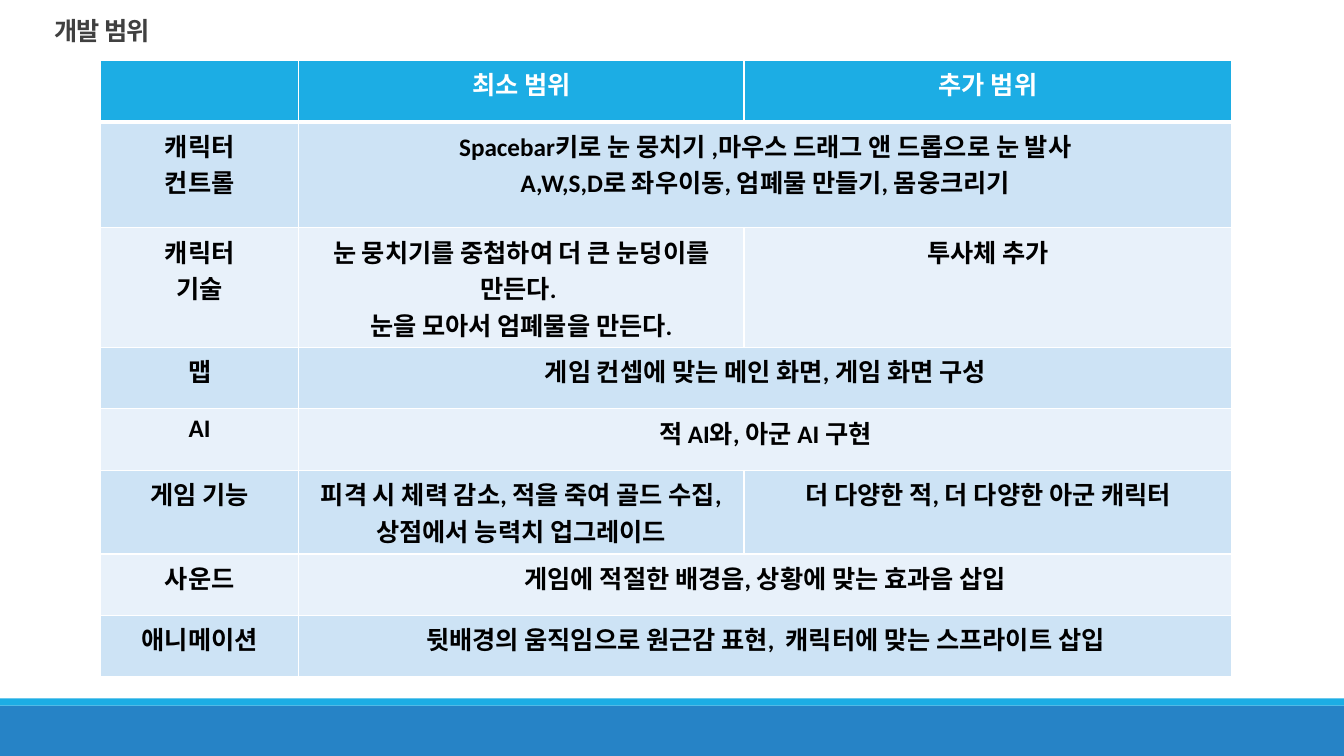
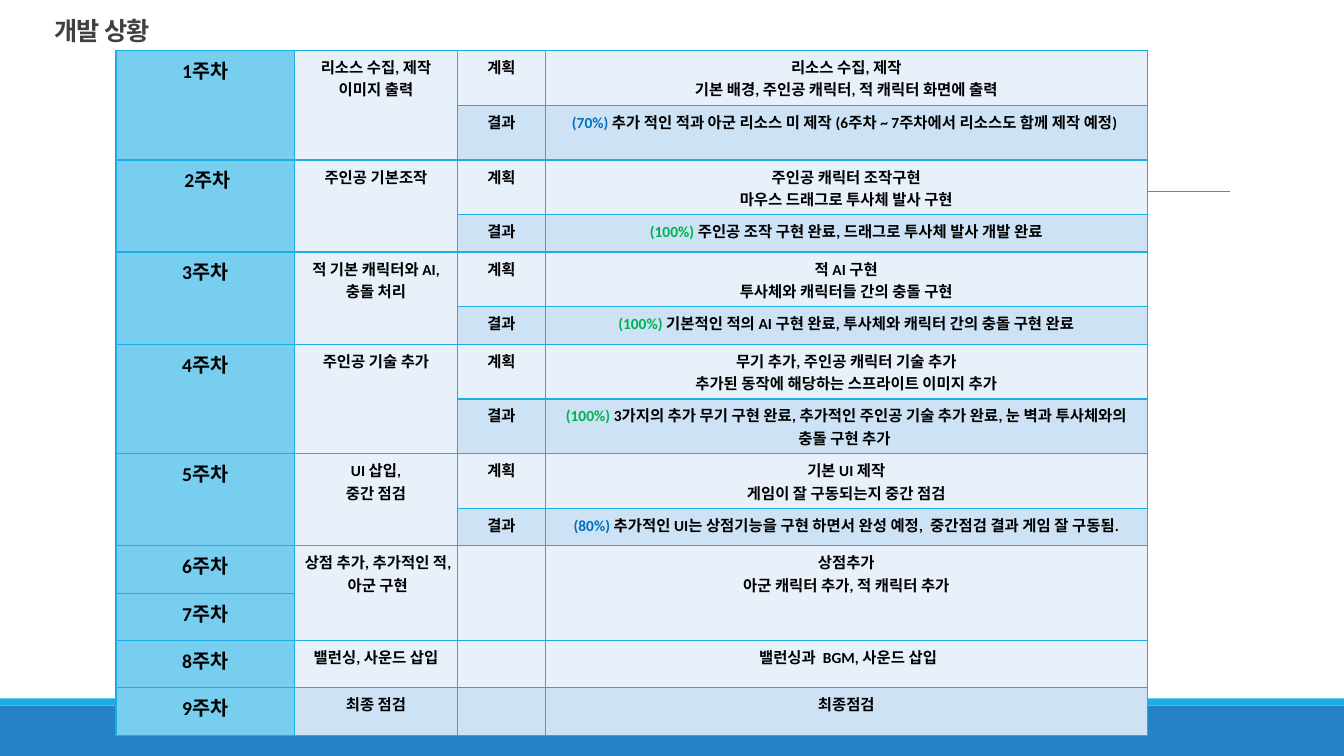
from dataclasses import dataclass
from enum import Enum

from lxml.etree import SubElement
from pptx import Presentation
from pptx.dml.color import RGBColor
from pptx.enum.shapes import MSO_CONNECTOR, MSO_SHAPE
from pptx.enum.text import MSO_ANCHOR, MSO_AUTO_SIZE, PP_ALIGN
from pptx.oxml.ns import qn
from pptx.util import Inches, Pt

FONT = "Calibri"
WHITE, BLACK, GRAY, RULE = "FFFFFF", "000000", "404040", "808080"
BLUE, CYAN, SKY = "2683C6", "1CADE4", "77CEEF"
BAND, PALE = "CDE3F5", "E8F1FA"
PARTIAL, DONE = "0070C0", "00B050"


class Join(Enum):
    LEFT = "left"
    UP = "up"


@dataclass
class Entry:
    text: str
    fill: str
    size: int
    color: str = BLACK
    status: str = ""


@dataclass
class Week:
    topic: str
    plan: str
    status: str
    result: str


@dataclass
class Grid:
    left: float
    top: float
    columns: list[float]
    heights: list[float]
    rows: list[list[Entry | Join]]
    border: str
    header: bool = False


@dataclass
class Strip:
    top: float
    height: float
    color: str


def rgb(value: str) -> RGBColor:
    return RGBColor.from_string(value)


def style_run(span, size: int, color: str) -> None:
    span.font.name = FONT
    span.font.size = Pt(size)
    span.font.bold = True
    span.font.color.rgb = rgb(color)


def build_layout(deck):
    layout = deck.slide_layouts.get_by_name("Title Only")
    for holder in list(layout.placeholders):
        if holder.placeholder_format.idx:
            layout.shapes.element.remove(holder.element)
        else:
            holder.left, holder.top = Inches(0.44), Inches(0.13)
            holder.width, holder.height = Inches(8.62), Inches(0.37)
    return layout


def decorate_layout(layout, page) -> None:
    for strip in (Strip(7, 0.5, BLUE), Strip(6.93, 0.07, CYAN)):
        box = page.shapes.add_shape(
            MSO_SHAPE.RECTANGLE, 0, Inches(strip.top), Inches(13.33), Inches(strip.height)
        )
        box.shadow.inherit = False
        box.fill.solid()
        box.fill.fore_color.rgb = rgb(strip.color)
        box.line.fill.background()
        layout.shapes.element.append(box.element)
    rule = page.shapes.add_connector(
        MSO_CONNECTOR.STRAIGHT, Inches(1.3), Inches(1.9), Inches(12.2), Inches(1.9)
    )
    rule.line.color.rgb = rgb(RULE)
    rule.line.width = Pt(0.5)
    SubElement(rule.element.spPr, qn("a:effectLst"))
    layout.shapes.element.append(rule.element)


def add_title(page, text: str) -> None:
    title = page.shapes.title
    frame = title.text_frame
    frame.text = text
    frame.auto_size = MSO_AUTO_SIZE.NONE
    frame.vertical_anchor = MSO_ANCHOR.BOTTOM
    para = frame.paragraphs[0]
    para.alignment = PP_ALIGN.LEFT
    para.line_spacing = 0.85
    style_run(para.runs[0], 18, GRAY)
    for properties in title.element.iter(qn("a:rPr")):
        properties.set("spc", "-50")


def draw_borders(element, grid: Grid) -> None:
    for index, cell in enumerate(element.iter(qn("a:tc"))):
        row = index // len(grid.columns)
        for side in "LRTB":
            thick = grid.header and (row, side) in ((0, "B"), (1, "T"))
            line = SubElement(cell.get_or_add_tcPr(), qn(f"a:ln{side}"), w=str(Pt(3 if thick else 1)))
            SubElement(SubElement(line, qn("a:solidFill")), qn("a:srgbClr"), val=grid.border)


def write_entry(cell, entry: Entry) -> None:
    frame = cell.text_frame
    frame.text = entry.status or entry.text
    if entry.status:
        frame.paragraphs[0].add_run().text = entry.text
    for para in frame.paragraphs:
        para.alignment = PP_ALIGN.CENTER
        for span in para.runs:
            style_run(span, entry.size, entry.color)
    if entry.status:
        accent = DONE if "100%" in entry.status else PARTIAL
        frame.paragraphs[0].runs[0].font.color.rgb = rgb(accent)


def add_grid(page, grid: Grid) -> None:
    holder = page.shapes.add_table(
        len(grid.rows), len(grid.columns), Inches(grid.left), Inches(grid.top),
        Inches(sum(grid.columns)), Inches(sum(grid.heights))
    )
    table = holder.table
    table.first_row = grid.header
    table.horz_banding = False
    for column, width in zip(table.columns, grid.columns):
        column.width = Inches(width)
    for row, height in zip(table.rows, grid.heights):
        row.height = Inches(height)
    draw_borders(holder.element, grid)
    for y, entries in enumerate(grid.rows):
        for x, entry in enumerate(entries):
            cell = table.cell(y, x)
            source = entry
            if isinstance(entry, Join):
                above, before = (y - 1, x) if entry is Join.UP else (y, x - 1)
                table.cell(above, before).merge(cell)
                source = grid.rows[above][before]
            else:
                write_entry(cell, entry)
            cell.fill.solid()
            cell.fill.fore_color.rgb = rgb(source.fill)
    for para in holder.element.iter(qn("a:p")):
        if para.find(qn("a:r")) is None:
            SubElement(para, qn("a:endParaRPr"), sz="1100")


def scope_rows() -> list[list[Entry | Join]]:
    scopes = [
        ("캐릭터\n컨트롤", "Spacebar키로 눈 뭉치기 ,마우스 드래그 앤 드롭으로 눈 발사\n"
         "A,W,S,D로 좌우이동, 엄폐물 만들기, 몸웅크리기", ""),
        ("캐릭터\n기술", "눈 뭉치기를 중첩하여 더 큰 눈덩이를 만든다. \n눈을 모아서 엄폐물을 만든다.", "투사체 추가"),
        ("맵", "게임 컨셉에 맞는 메인 화면, 게임 화면 구성", ""),
        ("AI", "적 AI와, 아군 AI 구현", ""),
        ("게임 기능", "피격 시 체력 감소, 적을 죽여 골드 수집, 상점에서 능력치 업그레이드",
         "더 다양한 적, 더 다양한 아군 캐릭터"),
        ("사운드", "게임에 적절한 배경음, 상황에 맞는 효과음 삽입", ""),
        ("애니메이션", "뒷배경의 움직임으로 원근감 표현,  캐릭터에 맞는 스프라이트 삽입", ""),
    ]
    rows = [[Entry(text, CYAN, 18, WHITE) for text in ("", "최소 범위", "추가 범위")]]
    for index, (name, minimum, extra) in enumerate(scopes):
        fill = PALE if index % 2 else BAND
        last = Entry(extra, fill, 18) if extra else Join.LEFT
        rows.append([Entry(name, fill, 18), Entry(minimum, fill, 18), last])
    return rows


def week_label(text: str) -> Entry:
    return Entry(text, SKY, 14)


def progress_rows() -> list[list[Entry | Join]]:
    weeks = [
        Week("리소스 수집, 제작\n이미지 출력", "리소스 수집, 제작\n기본 배경, 주인공 캐릭터, 적 캐릭터 화면에 출력",
             "(70%) ", "추가 적인 적과 아군 리소스 미 제작 (6주차 ~ 7주차에서 리소스도 함께 제작 예정) "),
        Week("주인공 기본조작", "주인공 캐릭터 조작구현\n마우스 드래그로 투사체 발사 구현",
             "(100%) ", "주인공 조작 구현 완료, 드래그로 투사체 발사 개발 완료"),
        Week("적 기본 캐릭터와 AI, 충돌 처리", "적 AI 구현\n투사체와 캐릭터들 간의 충돌 구현",
             "(100%) ", "기본적인 적의 AI 구현 완료, 투사체와 캐릭터 간의 충돌 구현 완료"),
        Week("주인공 기술 추가", "무기 추가, 주인공 캐릭터 기술 추가\n추가된 동작에 해당하는 스프라이트 이미지 추가",
             "(100%) ", "3가지의 추가 무기 구현 완료, 추가적인 주인공 기술 추가 완료, 눈 벽과 투사체와의 충돌 구현 추가 "),
        Week("UI 삽입,\n중간 점검", "기본 UI 제작\n게임이 잘 구동되는지 중간 점검",
             "(80%) ", "추가적인 UI는 상점기능을 구현 하면서 완성 예정,  중간점검 결과 게임 잘 구동됨."),
    ]
    rows = []
    for number, week in enumerate(weeks, 1):
        label = f" {number}주차" if number == 2 else f"{number}주차"
        rows.append([week_label(label), Entry(week.topic, PALE, 11),
                     Entry("계획", PALE, 11), Entry(week.plan, PALE, 11)])
        rows.append([Join.UP, Join.UP, Entry("결과", BAND, 11),
                     Entry(week.result, BAND, 11, status=week.status)])
    upcoming = [
        ("6주차", "상점 추가, 추가적인 적, 아군 구현", "상점추가\n아군 캐릭터 추가, 적 캐릭터 추가", PALE),
        ("8주차", "밸런싱, 사운드 삽입", " 밸런싱과  BGM, 사운드 삽입", PALE),
        ("9주차", "최종 점검", "최종점검", BAND),
    ]
    for label, topic, plan, fill in upcoming:
        rows.append([week_label(label)] + [Entry(text, fill, 11) for text in (topic, "", plan)])
    rows.insert(-2, [week_label("7주차")] + [Join.UP] * 3)
    return rows


def main() -> None:
    deck = Presentation()
    deck.slide_width, deck.slide_height = Inches(13.33), Inches(7.5)
    layout = build_layout(deck)
    scope = Grid(1, 0.6, [1.96, 4.42, 4.84], [0.61, 1.05, 1.18, 0.61, 0.61, 0.83, 0.61, 0.61],
                 scope_rows(), WHITE, header=True)
    progress = Grid(1.15, 0.5, [1.77, 1.62, 0.87, 5.97], [0.37] * 10 + [0.47] * 4,
                    progress_rows(), CYAN)
    pages = [("개발 범위", scope), ("개발 상황", progress)]
    for index, (title, grid) in enumerate(pages):
        page = deck.slides.add_slide(layout)
        if index == 0:
            decorate_layout(layout, page)
        add_title(page, title)
        add_grid(page, grid)
    deck.save("out.pptx")


main()
